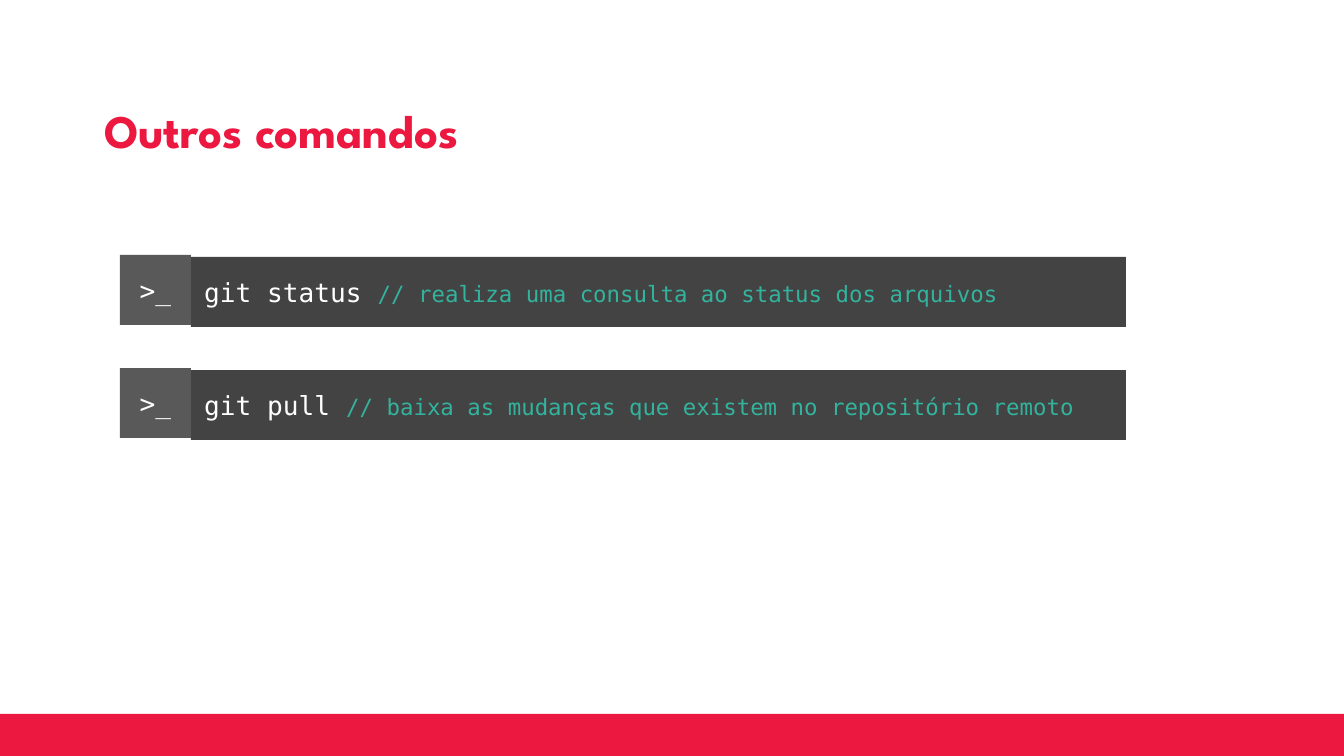
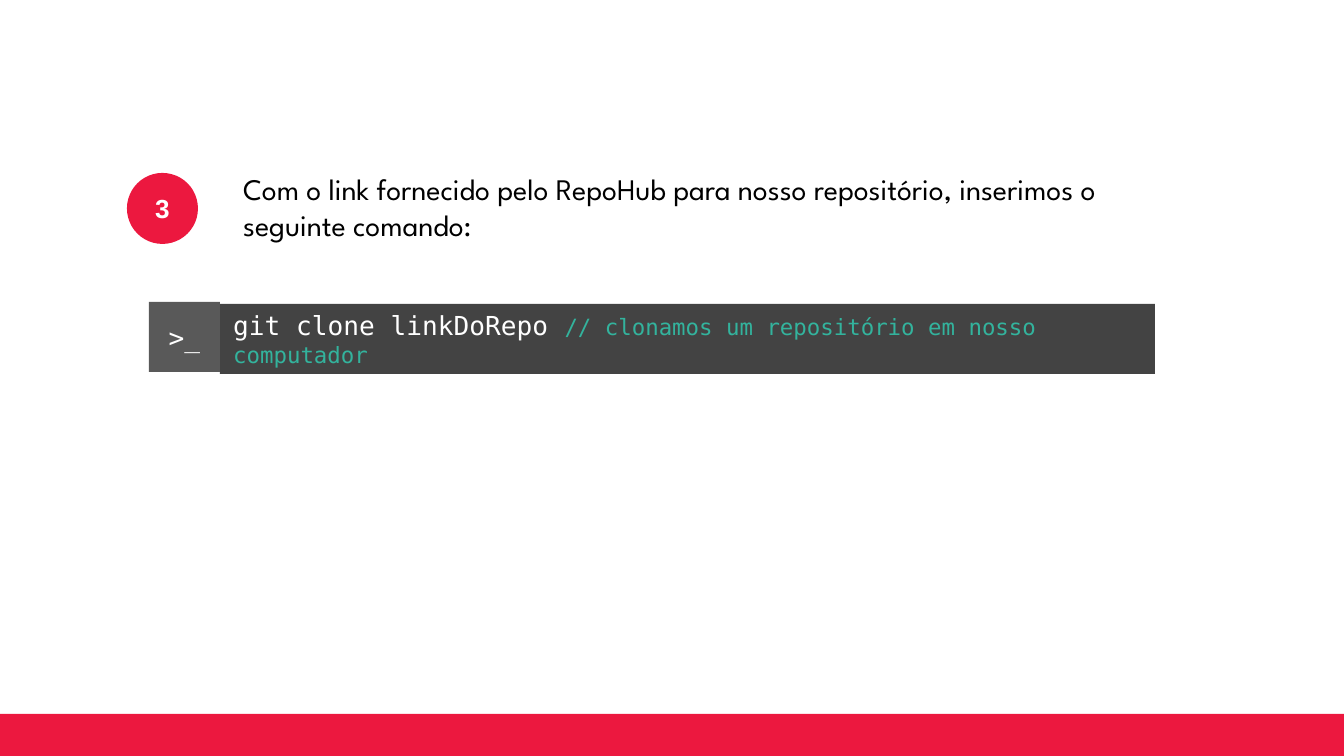
"""Build two slides that present git commands as terminal bars."""
from dataclasses import dataclass
from typing import NamedTuple

from pptx import Presentation
from pptx import util as u
from pptx.dml.color import RGBColor
from pptx.enum import shapes, text

EMU_PER_PX = 914400 / 134.4
SLIDE_W, SLIDE_H = 1344, 756
BAND_TOP = 714
PROMPT_W, BAR_W, BAR_H, BAR_DROP = 71, 935, 70, 2
FIRST_ROW_TOP, ROW_PITCH = 255, 113
RED, WHITE, BLACK = "EC183F", "FFFFFF", "000000"
BAR_GREY, PROMPT_GREY, COMMENT_GREEN = "434343", "595959", "33B39D"
MONO, SPARTAN, ARIAL = "DejaVu Sans Mono", "League Spartan", "Arial"
RECT, OVAL = shapes.MSO_SHAPE.RECTANGLE, shapes.MSO_SHAPE.OVAL
LEFT, CENTER = text.PP_ALIGN.LEFT, text.PP_ALIGN.CENTER
TOP, MIDDLE = text.MSO_ANCHOR.TOP, text.MSO_ANCHOR.MIDDLE


class Box(NamedTuple):
    left: int
    top: int
    width: int
    height: int


class Style(NamedTuple):
    font: str
    size: int
    color: str
    bold: bool = False


@dataclass(frozen=True)
class Command:
    left: int
    top: int
    code: str
    comment: str


TITLE = Style(SPARTAN, 25, RED, True)
BODY = Style(SPARTAN, 16, BLACK)
STEP = Style(ARIAL, 14, WHITE, True)
CODE = Style(MONO, 14, WHITE)
COMMENT = Style(MONO, 12, COMMENT_GREEN)

OTHER_COMMANDS = [
    ("git status ", "// realiza uma consulta ao status dos arquivos"),
    ("git pull ", "// baixa as mudanças que existem no repositório remoto"),
]


def px(length: int) -> int:
    return round(length * EMU_PER_PX)


def rgb(color: str) -> RGBColor:
    return RGBColor.from_string(color)


def write(shape, runs: list[tuple[str, Style]], align=LEFT, anchor=MIDDLE) -> None:
    frame = shape.text_frame
    inset = u.Inches(0.1)
    layout = {"word_wrap": True, "vertical_anchor": anchor, "margin_left": inset,
              "margin_right": inset, "margin_top": inset, "margin_bottom": inset}
    for name, value in layout.items():
        setattr(frame, name, value)
    paragraph = frame.paragraphs[0]
    paragraph.alignment = align
    for words, style in runs:
        run = paragraph.add_run()
        run.text = words
        font_values = {"name": style.font, "size": u.Pt(style.size), "bold": style.bold}
        for name, value in font_values.items():
            setattr(run.font, name, value)
        run.font.color.rgb = rgb(style.color)


def add_block(slide, box: Box, fill: str, kind=RECT):
    block = slide.shapes.add_shape(kind, *map(px, box))
    block.shadow.inherit = False
    block.fill.solid()
    block.fill.fore_color.rgb = rgb(fill)
    block.line.fill.background()
    return block


def add_text(slide, box: Box, words: str, style: Style, anchor=MIDDLE) -> None:
    write(slide.shapes.add_textbox(*map(px, box)), [(words, style)], anchor=anchor)


def add_command(slide, command: Command) -> None:
    bar_box = Box(command.left + PROMPT_W, command.top + BAR_DROP, BAR_W, BAR_H)
    bar = add_block(slide, bar_box, BAR_GREY)
    write(bar, [(command.code, CODE), (command.comment, COMMENT)])
    prompt_box = Box(command.left, command.top, PROMPT_W, BAR_H)
    prompt = add_block(slide, prompt_box, PROMPT_GREY)
    write(prompt, [(">_", CODE)], CENTER)


def new_slide(deck):
    slide = deck.slides.add_slide(deck.slide_layouts[6])
    add_block(slide, Box(0, BAND_TOP, SLIDE_W, SLIDE_H - BAND_TOP), RED)
    return slide


def build_other_commands(deck) -> None:
    slide = new_slide(deck)
    for row, (code, comment) in enumerate(OTHER_COMMANDS):
        add_command(slide, Command(120, FIRST_ROW_TOP + row * ROW_PITCH, code, comment))
    add_text(slide, Box(91, 87, 1144, 85), "Outros comandos", TITLE)


def build_clone_step(deck) -> None:
    slide = new_slide(deck)
    add_text(slide, Box(230, 157, 892, 83),
             "Com o link fornecido pelo RepoHub para nosso repositório, "
             "inserimos o seguinte comando:", BODY, TOP)
    add_command(slide, Command(149, 302, "git clone linkDoRepo ",
                               "// clonamos um repositório em nosso computador"))
    step = add_block(slide, Box(127, 173, 71, 71), RED, OVAL)
    write(step, [("3", STEP)], CENTER)


def main() -> None:
    deck = Presentation()
    deck.slide_width, deck.slide_height = px(SLIDE_W), px(SLIDE_H)
    build_other_commands(deck)
    build_clone_step(deck)
    deck.save("out.pptx")


if __name__ == "__main__":
    main()
